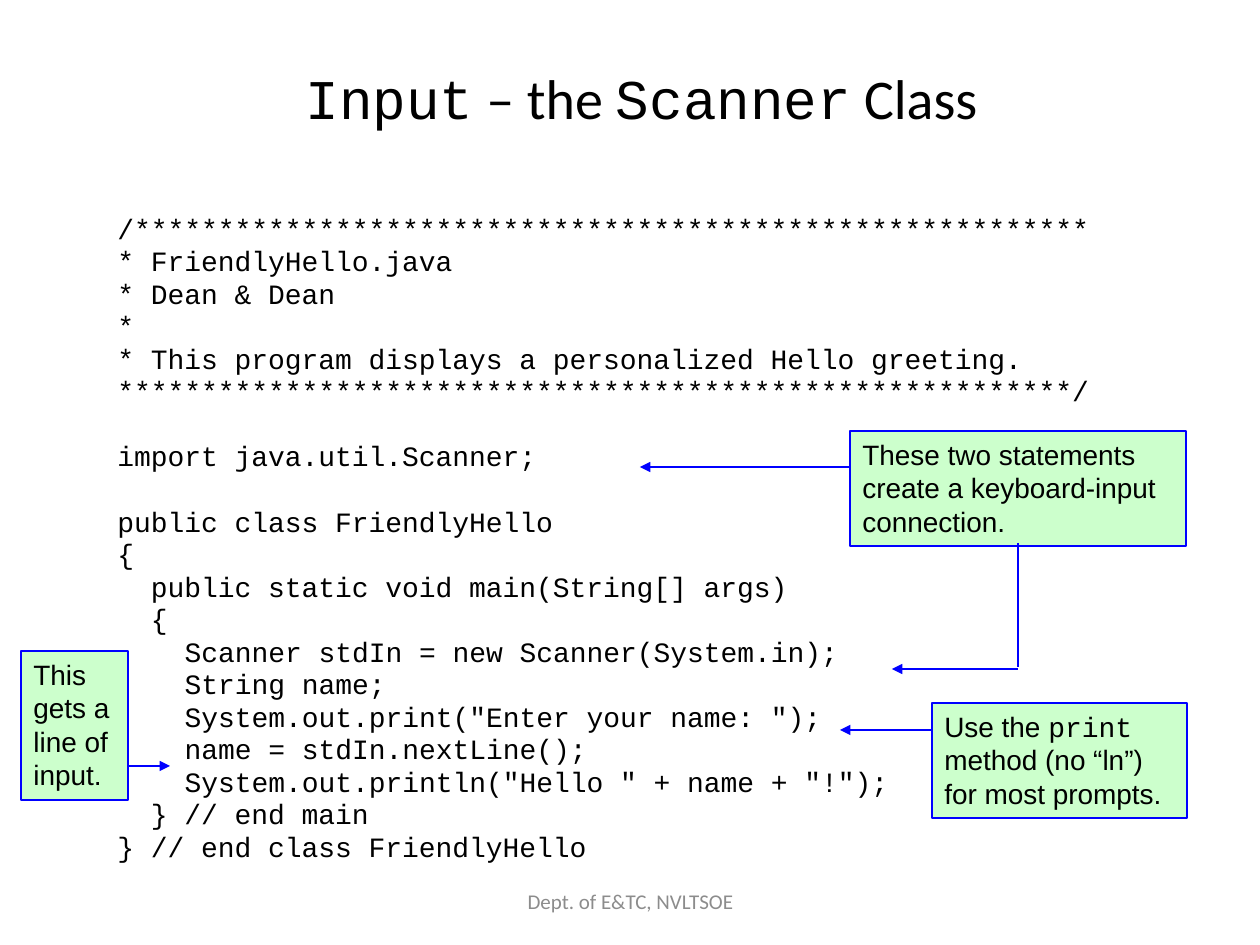
from dataclasses import dataclass

from lxml import etree
from pptx import Presentation
from pptx.dml.color import RGBColor
from pptx.enum.shapes import MSO_CONNECTOR, MSO_SHAPE
from pptx.enum.text import MSO_ANCHOR, PP_ALIGN
from pptx.oxml.ns import qn
from pptx.util import Emu, Pt

RECT = MSO_SHAPE.RECTANGLE
STRAIGHT = MSO_CONNECTOR.STRAIGHT
TOP, MIDDLE = MSO_ANCHOR.TOP, MSO_ANCHOR.MIDDLE
LEFT, CENTER = PP_ALIGN.LEFT, PP_ALIGN.CENTER
EMU_PER_PX = 914400 / 126


@dataclass(frozen=True)
class Theme:
    ink: str = "000000"
    muted: str = "8C8C8C"
    note: str = "CCFFCC"
    accent: str = "0000FF"
    sans: str = "Calibri"
    label: str = "Arial"
    mono: str = "Courier New"
    title: int = 32
    body: int = 16
    footer: int = 12
    code_pitch: float = 18.6
    code_char: float = 9.6
    line: float = 0.75


T = Theme()

CODE = """\
/*********************************************************
* FriendlyHello.java
* Dean & Dean
*
* This program displays a personalized Hello greeting.
*********************************************************/

import java.util.Scanner;

public class FriendlyHello
{
  public static void main(String[] args)
  {
    Scanner stdIn = new Scanner(System.in);
    String name;
    System.out.print("Enter your name: ");
    name = stdIn.nextLine();
    System.out.println("Hello " + name + "!");
  } // end main
} // end class FriendlyHello"""


def px(n):
    return Emu(round(n * EMU_PER_PX))


def rgb(value):
    return RGBColor.from_string(value)


def write(p, runs, size=T.body, color=T.ink, align=LEFT):
    p.alignment = align
    for text, font in runs:
        r = p.add_run()
        r.text = text
        r.font.name = font
        r.font.size = Pt(size)
        r.font.color.rgb = rgb(color)


def text_box(s, box, anchor=TOP):
    tf = s.shapes.add_textbox(*map(px, box)).text_frame
    tf.word_wrap = True
    tf.vertical_anchor = anchor
    return tf


def heading(s, box, runs, **fmt):
    tf = text_box(s, box, MIDDLE)
    write(tf.paragraphs[0], runs, align=CENTER, **fmt)


def listing(s, box, code):
    tf = text_box(s, box)
    p, gap = tf.paragraphs[0], 0
    for i, line in enumerate(code.splitlines()):
        if not line:
            gap += T.code_pitch
            continue
        if i:
            p = tf.add_paragraph()
        text = line.lstrip()
        write(p, [(text, T.mono)])
        p.line_spacing = Pt(T.code_pitch)
        p.space_before = Pt(gap)
        indent = Pt((len(line) - len(text)) * T.code_char)
        p._p.get_or_add_pPr().set("marL", str(indent))
        gap = 0


def pointer(s, start, end, arrow=True):
    c = s.shapes.add_connector(STRAIGHT, *map(px, start + end))
    c.line.color.rgb = rgb(T.accent)
    c.line.width = Pt(T.line)
    if arrow:
        etree.SubElement(c.line._get_or_add_ln(), qn("a:tailEnd"), type="triangle")
    etree.SubElement(c._element.spPr, qn("a:effectLst"))


def callout(s, box, runs, pointers):
    x, y = box[:2]
    sp = s.shapes.add_shape(RECT, *map(px, box))
    sp.shadow.inherit = False
    sp.fill.solid()
    sp.fill.fore_color.rgb = rgb(T.note)
    sp.line.color.rgb = rgb(T.accent)
    sp.line.width = Pt(T.line)
    tf = sp.text_frame
    tf.word_wrap = True
    tf.vertical_anchor = TOP
    write(tf.paragraphs[0], runs)
    for (x1, y1), (x2, y2), arrow in pointers:
        pointer(s, (x + x1, y + y1), (x + x2, y + y2), arrow)


def main():
    prs = Presentation()
    prs.slide_width, prs.slide_height = px(1260), px(945)
    s = prs.slides.add_slide(prs.slide_layouts[6])

    heading(s, (159, 47, 965, 100),
            [("Input", T.mono), (" – the ", T.sans),
             ("Scanner", T.mono), (" Class", T.sans)], size=T.title)
    listing(s, (105, 206, 1081, 701), CODE)
    callout(s, (850, 431, 336, 115),
            [("These two statements create a keyboard-input connection.", T.label)],
            [((0, 36), (-210, 36), True),
             ((168, 112), (168, 236), False),
             ((168, 238), (42, 238), True)])
    callout(s, (932, 703, 255, 115),
            [("Use the ", T.label), ("print", T.mono),
             (" method (no “ln”) for most prompts.", T.label)],
            [((0, 27), (-92, 27), True)])
    callout(s, (21, 651, 107, 149),
            [("This gets a line of input.", T.label)],
            [((107, 115), (149, 115), True)])
    heading(s, (431, 876, 399, 50), [("Dept. of E&TC, NVLTSOE", T.sans)],
            size=T.footer, color=T.muted)

    prs.save("out.pptx")


if __name__ == "__main__":
    main()
